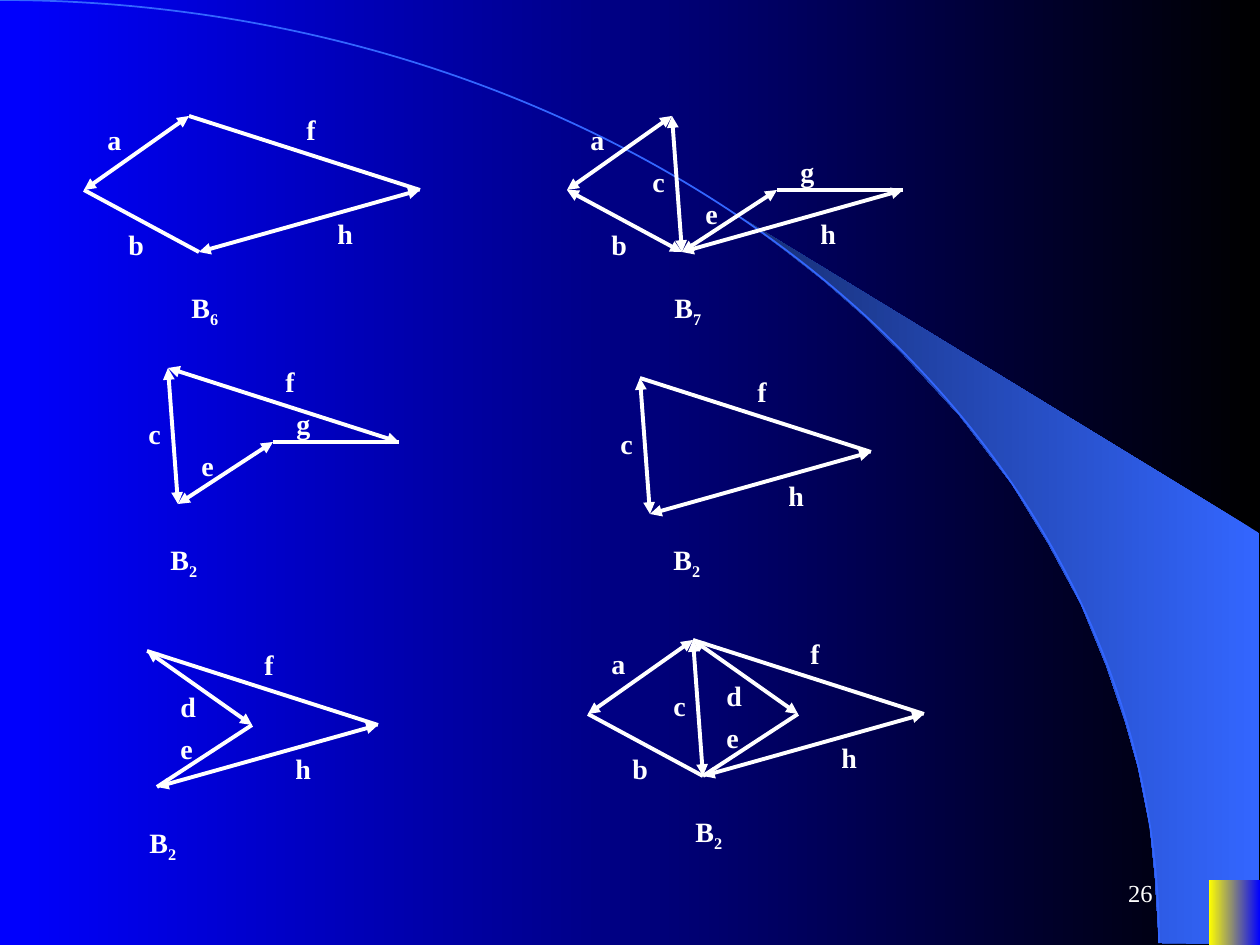
from lxml.etree import SubElement
from pptx import Presentation
from pptx.dml.color import RGBColor
from pptx.enum.shapes import MSO_CONNECTOR, MSO_SHAPE
from pptx.enum.text import MSO_ANCHOR, MSO_AUTO_SIZE, PP_ALIGN
from pptx.oxml.ns import qn
from pptx.util import Pt

PX = 9144000 / 1260
WHITE = RGBColor(0xFF, 0xFF, 0xFF)
BLACK = RGBColor(0x00, 0x00, 0x00)
BLUE = RGBColor(0x00, 0x00, 0xFF)
YELLOW = RGBColor(0xFF, 0xFF, 0x00)
SKY = RGBColor(0x33, 0x66, 0xFF)
NAVY = RGBColor(0x17, 0x2F, 0x75)


def emu(*lengths):
    return [round(length * PX) for length in lengths]


def set_gradient(fill, first, last):
    fill.gradient()
    fill.gradient_angle = 180
    for stop, color in zip(fill.gradient_stops, (first, last)):
        stop.color.rgb = color
    fill.gradient_stops[0].position = 0
    fill.gradient_stops[1].position = 1


prs = Presentation()
prs.slide_width, prs.slide_height = emu(1260, 945)
slide = prs.slides.add_slide(prs.slide_layouts[6])
set_gradient(slide.background.fill, BLACK, BLUE)

swoosh_points = [
    (1259, 944), (1259, 533), (742, 218), (786, 251), (823, 280), (863, 315),
    (902, 353), (960, 416), (1012, 484), (1048, 543), (1081, 604), (1106, 665),
    (1125, 721), (1138, 767), (1150, 827), (1155, 877), (1159, 943),
]
outline = slide.shapes.build_freeform(1159, 943, scale=PX)
outline.add_line_segments(swoosh_points, close=True)
swoosh = outline.convert_to_shape()
swoosh.shadow.inherit = False
set_gradient(swoosh.fill, SKY, NAVY)
swoosh.line.fill.background()

horizon = slide.shapes.add_shape(MSO_SHAPE.ARC, *emu(-1159, 0, 2318, 1886))
horizon.shadow.inherit = False
horizon.fill.background()
horizon.line.color.rgb = SKY
horizon.line.width = Pt(1)

corner = slide.shapes.add_shape(MSO_SHAPE.RECTANGLE, *emu(1209, 880, 51, 65))
corner.shadow.inherit = False
set_gradient(corner.fill, BLUE, YELLOW)
corner.line.fill.background()

top, left, middle, right, bottom = (0, 0), (-105, 74), (105, 74), (231, 74), (10, 136)
edges = {
    "a": (top, left, (-94, 0)),
    "b": (left, bottom, (-73, 105)),
    "c": (top, bottom, (-32, 42)),
    "d": (top, middle, (21, 32)),
    "e": (middle, bottom, (21, 74)),
    "f": (top, right, (105, -10)),
    "g": (middle, right, (116, 32)),
    "h": (right, bottom, (136, 94)),
}
figures = [
    ("6", (189, 116), "ah", "bf", (-10, 168)),
    ("2", (693, 640), "acdh", "bef", (-10, 168)),
    ("2", (168, 368), "cef", "g", (-10, 168)),
    ("7", (672, 116), "abceh", "g", (-10, 168)),
    ("2", (640, 378), "ch", "f", (21, 158)),
    ("2", (147, 651), "dh", "ef", (-10, 168)),
]

for index, (x, y), two_way, plain, caption_offset in figures:
    figure = slide.shapes.add_group_shape()
    labels = [("B", index, caption_offset, (95, 52))]
    for name in sorted(two_way + plain):
        (x1, y1), (x2, y2), label_offset = edges[name]
        labels.append((name, "", label_offset, (54, 47)))
        edge = figure.shapes.add_connector(
            MSO_CONNECTOR.STRAIGHT, *emu(x + x1, y + y1, x + x2, y + y2))
        edge.line.color.rgb = WHITE
        edge.line.width = Pt(2.25)
        if name in two_way:
            stroke = edge.line._get_or_add_ln()
            for end in ("a:headEnd", "a:tailEnd"):
                SubElement(stroke, qn(end), type="triangle")
        SubElement(edge._element.spPr, qn("a:effectLst"))

    for letter, subscript, (dx, dy), size in labels:
        label = figure.shapes.add_textbox(*emu(x + dx, y + dy, *size))
        frame = label.text_frame
        frame.word_wrap = True
        frame.auto_size = MSO_AUTO_SIZE.SHAPE_TO_FIT_TEXT
        paragraph = frame.paragraphs[0]
        paragraph.text = letter
        if subscript:
            subscript_run = paragraph.add_run()
            subscript_run.text = subscript
            subscript_run.font._element.set("baseline", "-25000")
        for run in paragraph.runs:
            run.font.name = "Times New Roman"
            run.font.size = Pt(16)
            run.font.bold = True
            run.font.color.rgb = WHITE

page_number = slide.shapes.add_textbox(*emu(903, 861, 262, 63))
page_frame = page_number.text_frame
page_frame.word_wrap = True
page_frame.vertical_anchor = MSO_ANCHOR.MIDDLE
page_frame.text = "26"
page_paragraph = page_frame.paragraphs[0]
page_paragraph.alignment = PP_ALIGN.RIGHT
page_font = page_paragraph.runs[0].font
page_font.name = "Times New Roman"
page_font.size = Pt(14)
page_font.color.rgb = WHITE

prs.save("out.pptx")
